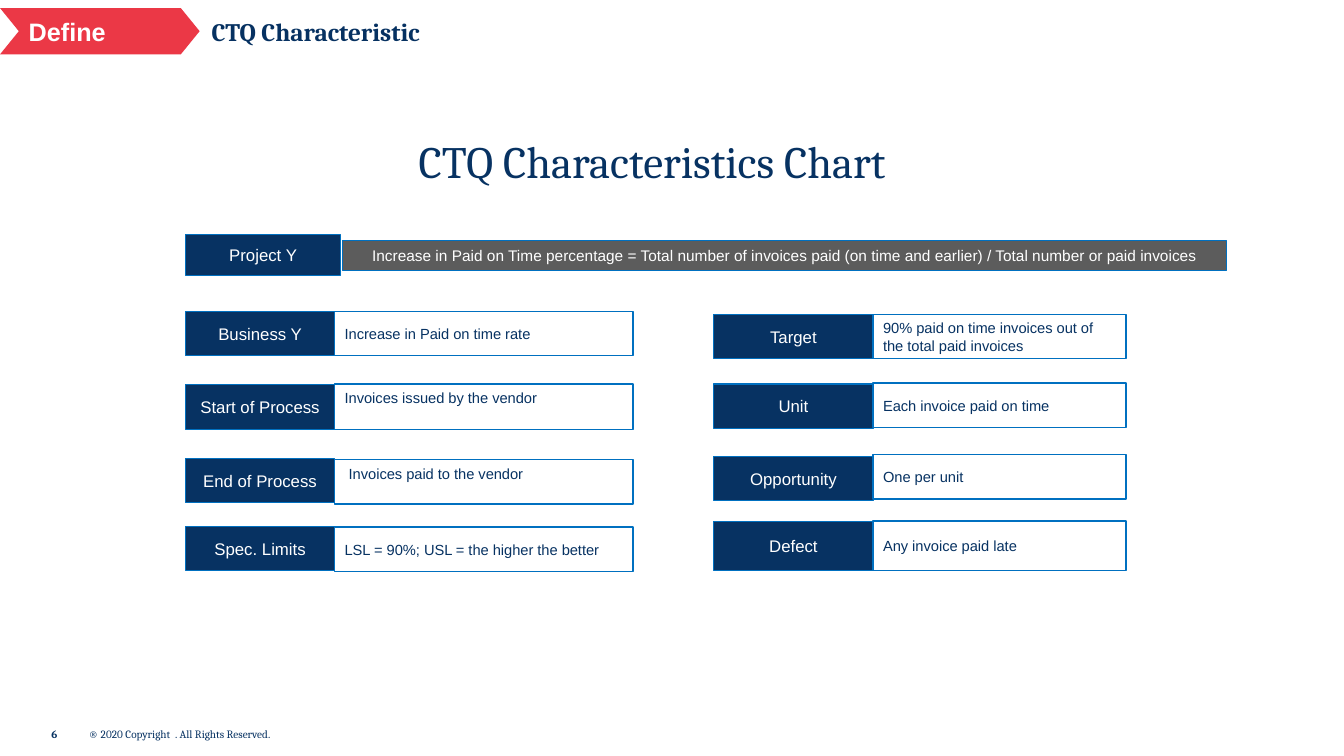
from pptx import Presentation
from pptx.dml.color import RGBColor
from pptx.enum.shapes import MSO_SHAPE
from pptx.enum.text import MSO_ANCHOR, PP_ALIGN
from pptx.util import Inches, Pt

RECTANGLE, CHEVRON = MSO_SHAPE.RECTANGLE, MSO_SHAPE.CHEVRON
TOP, MIDDLE = MSO_ANCHOR.TOP, MSO_ANCHOR.MIDDLE
LEFT, CENTER = PP_ALIGN.LEFT, PP_ALIGN.CENTER

NAVY = RGBColor(0x07, 0x32, 0x62)
HEADING_NAVY = RGBColor(0x06, 0x31, 0x61)
BLUE = RGBColor(0x00, 0x70, 0xC0)
GRAY = RGBColor(0x5C, 0x5C, 0x5C)
RED = RGBColor(0xEB, 0x38, 0x46)
WHITE = RGBColor(0xFF, 0xFF, 0xFF)

LABEL_FONT = {"name": "Arial", "size": Pt(12)}
DETAIL_FONT = {"name": "Arial", "size": Pt(10.5)}
FORMULA_FONT = {"name": "Arial", "size": Pt(11)}
STAGE_FONT = {"name": "Arial", "size": Pt(18), "bold": True}
HEADING_FONT = {"name": "Cambria", "size": Pt(18), "bold": True}
TITLE_FONT = {"name": "Cambria", "size": Pt(32)}
FOOTER_FONT = {"name": "Cambria", "size": Pt(8)}
PAGE_FONT = {**FOOTER_FONT, "bold": True}

# Each row: label, detail, label top, detail top, height, detail anchor
PROCESS_ROWS = [
    ("Business Y", "Increase in Paid on time rate", 3.09, 3.09, 0.44, MIDDLE),
    ("Start of Process", "Invoices issued by the vendor", 3.81, 3.81, 0.45, TOP),
    ("End of Process", " Invoices paid to the vendor", 4.55, 4.56, 0.44, TOP),
    ("Spec. Limits", "LSL = 90%; USL = the higher the better", 5.22, 5.23, 0.44, MIDDLE),
]
MEASURE_ROWS = [
    ("Target", "90% paid on time invoices out of the total paid invoices",
     3.12, 3.12, 0.44, MIDDLE),
    ("Unit", "Each invoice paid on time", 3.81, 3.8, 0.44, MIDDLE),
    ("Opportunity", "One per unit", 4.53, 4.51, 0.44, MIDDLE),
    ("Defect", "Any invoice paid late", 5.17, 5.17, 0.49, MIDDLE),
]


def write(shape, text, font, color, align=LEFT, anchor=MIDDLE, inset=True):
    frame = shape.text_frame
    frame.word_wrap = True
    frame.vertical_anchor = anchor
    if not inset:
        for side in ("left", "top", "right", "bottom"):
            setattr(frame, f"margin_{side}", 0)
    paragraph = frame.paragraphs[0]
    paragraph.alignment = align
    run = paragraph.add_run()
    run.text = text
    for attribute, value in font.items():
        setattr(run.font, attribute, value)
    run.font.color.rgb = color


def add_text(slide, box, text, font, color, **layout):
    write(slide.shapes.add_textbox(*map(Inches, box)), text, font, color, **layout)


def add_box(slide, box, fill, line_width, kind=RECTANGLE):
    shape = slide.shapes.add_shape(kind, *map(Inches, box))
    shape.shadow.inherit = False
    shape.fill.solid()
    shape.fill.fore_color.rgb = fill
    if line_width:
        shape.line.color.rgb = BLUE
        shape.line.width = Pt(line_width)
    else:
        shape.line.fill.background()
    return shape


def add_label(slide, box, text):
    write(add_box(slide, box, NAVY, 0.75), text, LABEL_FONT, WHITE, align=CENTER)


def draw_header(slide, left, top):
    stage = add_box(slide, (left, top, 1.98, 0.46), RED, 0, CHEVRON)
    stage.adjustments[0] = 0.406
    write(stage, "Define", STAGE_FONT, WHITE)
    add_text(slide, (left + 2, top - 0.06, 7.91, 0.58), "CTQ Characteristic",
             HEADING_FONT, HEADING_NAVY)


def draw_project(slide, left, top):
    add_label(slide, (left, top, 1.54, 0.4), "Project Y")
    formula = add_box(slide, (left + 1.56, top + 0.06, 8.77, 0.29), GRAY, 0.75)
    write(formula, "Increase in Paid on Time percentage = Total number of invoices paid "
          "(on time and earlier) / Total number or paid invoices",
          FORMULA_FONT, WHITE, align=CENTER)


def draw_column(slide, left, label_width, detail_width, rows):
    for label, detail, label_top, detail_top, height, anchor in rows:
        add_label(slide, (left, label_top, label_width, height), label)
        detail_box = add_box(
            slide, (left + label_width, detail_top, detail_width, height), WHITE, 1)
        write(detail_box, detail, DETAIL_FONT, NAVY, anchor=anchor)


def draw_footer(slide, left, top):
    add_text(slide, (left, top, 0.3, 0.24), "6", PAGE_FONT, NAVY, inset=False)
    add_text(slide, (left + 0.37, top, 2.58, 0.24),
             "® 2020 Copyright  . All Rights Reserved.", FOOTER_FONT, NAVY, inset=False)


def main():
    deck = Presentation()
    deck.slide_width, deck.slide_height = Inches(13.33), Inches(7.5)
    slide = deck.slides.add_slide(deck.slide_layouts[6])

    # Header and title
    draw_header(slide, 0, 0.08)
    add_text(slide, (3.58, 1.33, 5.78, 0.54), "CTQ Characteristics Chart",
             TITLE_FONT, NAVY, align=CENTER, anchor=TOP, inset=False)

    # Characteristics
    draw_project(slide, 1.84, 2.33)
    draw_column(slide, 1.84, 1.48, 2.96, PROCESS_ROWS)
    draw_column(slide, 7.08, 1.58, 2.51, MEASURE_ROWS)

    # Footer
    draw_footer(slide, 0.51, 7.16)
    deck.save("out.pptx")


if __name__ == "__main__":
    main()
